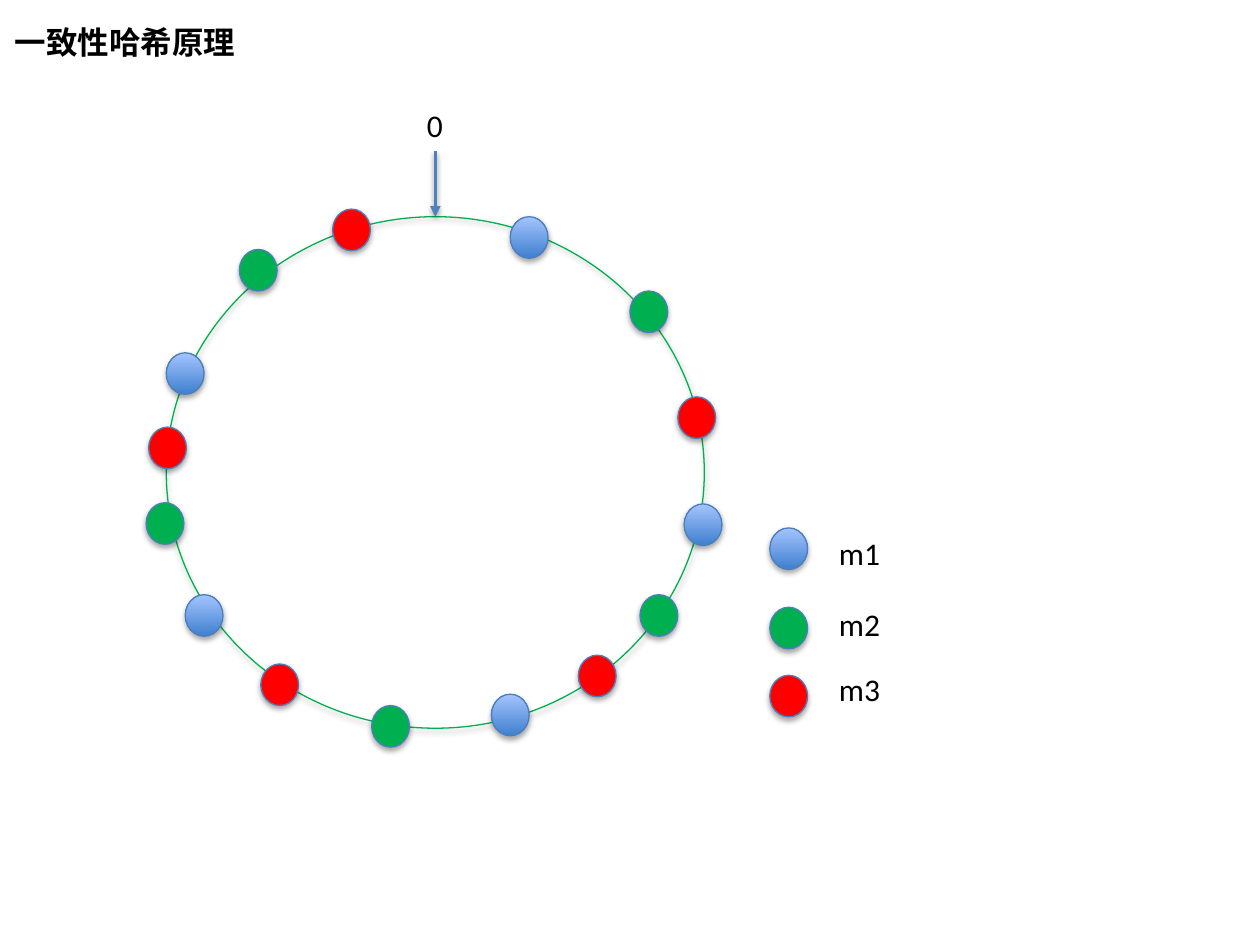
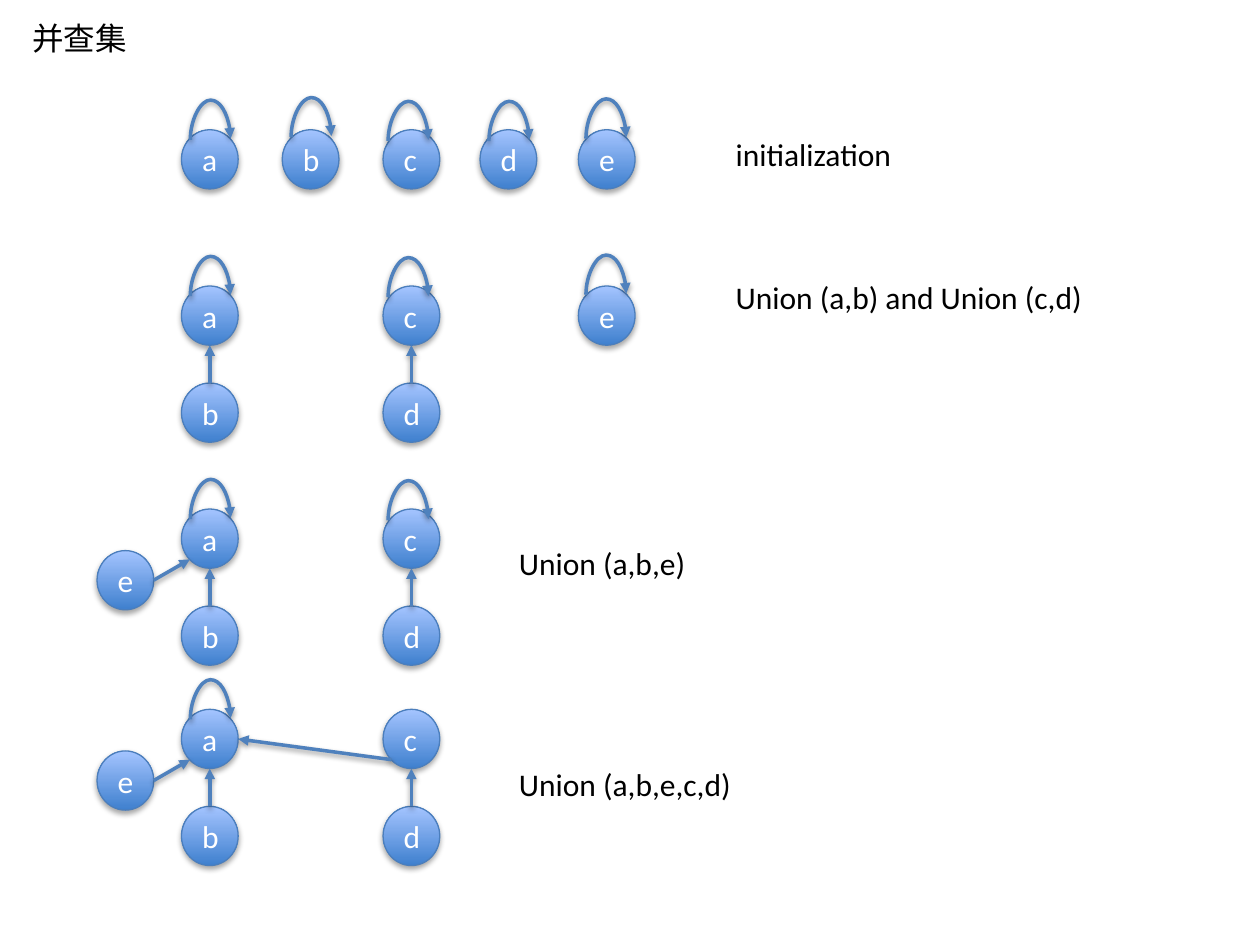
"""Build two algorithm slides: a consistent hashing ring and the steps of a union-find."""
from itertools import cycle

from lxml.etree import SubElement
from pptx import Presentation
from pptx.dml.color import RGBColor
from pptx.enum.shapes import MSO_CONNECTOR as CONN, MSO_SHAPE as SHAPE
from pptx.enum.text import MSO_AUTO_SIZE as AUTO
from pptx.oxml.ns import qn
from pptx.util import Inches, Pt

BLACK = RGBColor(0x00, 0x00, 0x00)
WHITE = RGBColor(0xFF, 0xFF, 0xFF)
GREEN = RGBColor(0x00, 0xB0, 0x50)
RED = RGBColor(0xFF, 0x00, 0x00)
EDGE = RGBColor(0x4B, 0x7E, 0xBC)
ARROW = RGBColor(0x4F, 0x81, 0xBD)
BLUE = (RGBColor(0x3F, 0x80, 0xCE), RGBColor(0xA4, 0xC4, 0xFF))

SIZE = 18
TEXT_H = 0.4

RING = (1.32, 1.72, 4.27, 4.06)
DOT = (0.3, 0.33)
LEGEND = [("m1", BLUE, 4.19, 4.19), ("m2", GREEN, 4.82, 4.75), ("m3", RED, 5.36, 5.27)]
LEGEND_X, LEGEND_TEXT_X = 6.11, 6.56
CLOCKWISE = [
    (4.05, 1.72), (5, 2.31), (5.38, 3.15), (5.43, 4), (5.08, 4.72),
    (4.59, 5.2), (3.9, 5.51), (2.95, 5.6), (2.07, 5.27), (1.47, 4.72),
    (1.16, 3.99), (1.18, 3.39), (1.32, 2.8), (1.9, 1.98), (2.64, 1.66),
]

NODE = (0.45, 0.47)
COLS = (0.77, 1.44, 2.24, 3.04, 3.81, 4.59)
ROWS = (0, 0.33, 0.77)
SITES = {"top": (0.5, 0), "bottom": (0.5, 1), "right": (1, 0.5), "corner": (0.15, 0.85)}
LOOP_W, LOOP_RISE, LOOP_DROP = 0.32, 0.32, 0.01
LOOPS = {"a": (0.07, 0.08), "b": (0.07, 0.06), "c": (0.04, 0.09),
         "d": (0.07, 0.09), "e": (0.06, 0.07)}
B_TO_A = ("b", "top", "a", "bottom")
D_TO_C = ("d", "top", "c", "bottom")
E_TO_A = ("e", "right", "a", "corner")
C_TO_A = ("c", "corner", "a", "right")
PAIRS = {"a": (1, 0), "b": (1, 2), "c": (3, 0), "d": (3, 2)}
STEPS = [
    {"text": ("initialization", 5.74, 1.02, 1.45), "y": 1.03, "loops": "abcde", "links": [],
     "nodes": {name: (col, 0) for col, name in enumerate("abcde", 1)}},
    {"text": ("Union (a,b) and Union (c,d)", 5.74, 2.16, 2.99), "y": 2.27, "loops": "ace",
     "links": [B_TO_A, D_TO_C], "nodes": {**PAIRS, "e": (5, 0)}},
    {"text": ("Union (a,b,e)", 4.02, 4.27, 1.54), "y": 4.04, "loops": "ac",
     "links": [B_TO_A, D_TO_C, E_TO_A], "nodes": {**PAIRS, "e": (0, 1)}},
    {"text": ("Union (a,b,e,c,d)", 4.02, 6.02, 1.91), "y": 5.63, "loops": "a",
     "links": [B_TO_A, D_TO_C, E_TO_A, C_TO_A], "nodes": {**PAIRS, "e": (0, 1)}},
]


def add_shadow(sp, opacity, distance):
    effects = SubElement(sp._element.spPr, qn("a:effectLst"))
    shadow = SubElement(effects, qn("a:outerShdw"), blurRad=str(Pt(3.15)),
                        dist=str(Pt(distance)), dir="5400000", rotWithShape="0")
    color = SubElement(shadow, qn("a:srgbClr"), val=str(BLACK))
    SubElement(color, qn("a:alpha"), val=str(opacity * 1000))


def style_runs(tf, color, font="Calibri", bold=False):
    for p in tf.paragraphs:
        for r in p.runs:
            r.font.size, r.font.name, r.font.bold = Pt(SIZE), font, bold
            r.font.color.rgb = color


def add_text(slide, text, x, y, w, wrap=False, **style):
    tf = slide.shapes.add_textbox(*map(Inches, (x, y, w, TEXT_H))).text_frame
    tf.text = text
    tf.word_wrap = wrap
    tf.auto_size = AUTO.SHAPE_TO_FIT_TEXT
    style_runs(tf, BLACK, **style)


def add_ellipse(slide, x, y, w, h, fill=None, line=EDGE, text=""):
    sp = slide.shapes.add_shape(SHAPE.OVAL, *map(Inches, (x, y, w, h)))
    if fill is None:
        sp.fill.background()
    elif fill is BLUE:
        sp.fill.gradient()
        sp.fill.gradient_angle = 90
        for stop, color in zip(sp.fill.gradient_stops, BLUE):
            stop.color.rgb = color
    else:
        sp.fill.solid()
        sp.fill.fore_color.rgb = fill
    sp.line.color.rgb = line
    sp.line.width = Pt(0.75)
    add_shadow(sp, 35, 1.8)
    if text:
        sp.text_frame.text = text
        style_runs(sp.text_frame, WHITE)


def add_arrow(slide, start, end, kind=CONN.STRAIGHT):
    cx = slide.shapes.add_connector(kind, *map(Inches, (*start, *end)))
    cx.line.color.rgb = ARROW
    cx.line.width = Pt(2)
    SubElement(cx.line._get_or_add_ln(), qn("a:tailEnd"), type="triangle")
    add_shadow(cx, 38, 1.6)
    return cx


def add_loop(slide, x, y):
    """Draw a curve that leaves (x, y), rises and comes back LOOP_W to the right."""
    mid_x, mid_y = x + LOOP_W / 2, y - LOOP_DROP / 2
    dx, dy = LOOP_DROP / 2, LOOP_W / 2
    cx = add_arrow(slide, (mid_x + dx, mid_y + dy), (mid_x - dx, mid_y - dy), CONN.CURVE)
    sp_pr = cx._element.spPr
    sp_pr.find(qn("a:xfrm")).set("rot", "5400000")
    guides = sp_pr.find(qn("a:prstGeom")).find(qn("a:avLst"))
    SubElement(guides, qn("a:gd"), name="adj1",
               fmla=f"val {round(LOOP_RISE / LOOP_DROP * 100000)}")


def build_ring(slide):
    add_text(slide, "一致性哈希原理", 0.02, 0.13, 5, wrap=True, font="Roboto", bold=True)
    add_ellipse(slide, *RING, line=GREEN)
    left, top, width, _ = RING
    zero_x = left + width / 2
    add_arrow(slide, (zero_x, 1.2), (zero_x, top))
    add_text(slide, "0", 3.29, 0.79, 0.33)
    for (x, y), (_, fill, *_) in zip(CLOCKWISE, cycle(LEGEND)):
        add_ellipse(slide, x, y, *DOT, fill)
    for name, fill, dot_y, text_y in LEGEND:
        add_ellipse(slide, LEGEND_X, dot_y, *DOT, fill)
        add_text(slide, name, LEGEND_TEXT_X, text_y, 0.53)


def build_union_find(slide):
    add_text(slide, "并查集", 0.16, 0.1, 0.96)
    for step in STEPS:
        places = {name: (COLS[col], step["y"] + ROWS[row])
                  for name, (col, row) in step["nodes"].items()}

        def site(name, side):
            return [at + size * share for at, size, share in zip(places[name], NODE, SITES[side])]

        for name, (x, y) in places.items():
            add_ellipse(slide, x, y, *NODE, BLUE, text=name)
        for name in step["loops"]:
            add_loop(slide, *(at + shift for at, shift in zip(places[name], LOOPS[name])))
        for child, child_side, parent, parent_side in step["links"]:
            add_arrow(slide, site(child, child_side), site(parent, parent_side))
        add_text(slide, *step["text"])


def main():
    prs = Presentation()
    prs.slide_width, prs.slide_height = Inches(10), Inches(7.5)
    for build in (build_ring, build_union_find):
        build(prs.slides.add_slide(prs.slide_layouts[6]))
    prs.save("out.pptx")


if __name__ == "__main__":
    main()
